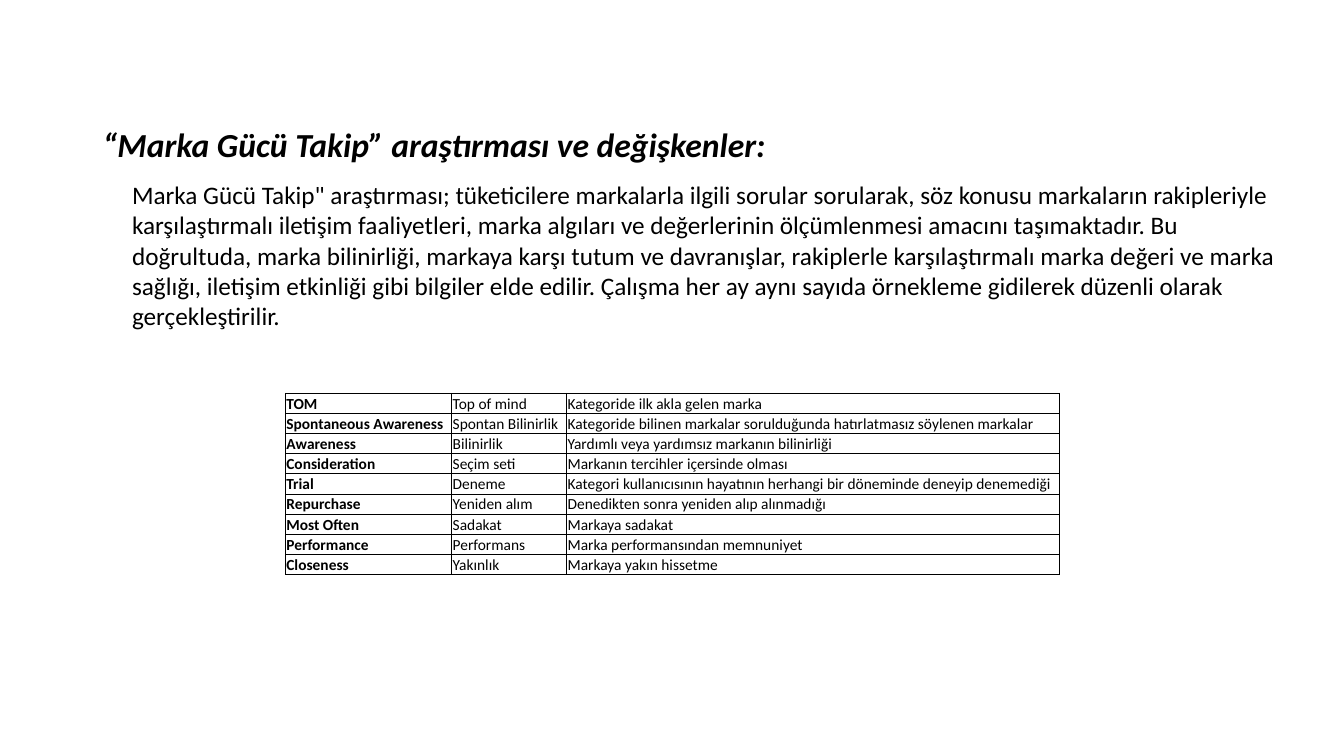
import pptx
import pptx.dml.color
import pptx.enum.text
import pptx.oxml
import pptx.oxml.ns
import pptx.util

BLACK = pptx.dml.color.RGBColor(0x00, 0x00, 0x00)
PX = 9144  # one px is a hundredth of an inch

HEADING = "“Marka Gücü Takip” araştırması ve değişkenler:"
DESCRIPTION = (
    'Marka Gücü Takip" araştırması; tüketicilere markalarla ilgili sorular sorularak, '
    "söz konusu markaların rakipleriyle karşılaştırmalı iletişim faaliyetleri, marka "
    "algıları ve değerlerinin ölçümlenmesi amacını taşımaktadır. Bu doğrultuda, marka "
    "bilinirliği, markaya karşı tutum ve davranışlar, rakiplerle karşılaştırmalı marka "
    "değeri ve marka sağlığı, iletişim etkinliği gibi bilgiler elde edilir. Çalışma her "
    "ay aynı sayıda örnekleme gidilerek düzenli olarak gerçekleştirilir."
)
VARIABLES = [
    ("TOM", "Top of mind", "Kategoride ilk akla gelen marka"),
    ("Spontaneous Awareness", "Spontan Bilinirlik",
     "Kategoride bilinen markalar sorulduğunda hatırlatmasız söylenen markalar"),
    ("Awareness", "Bilinirlik", "Yardımlı veya yardımsız markanın bilinirliği"),
    ("Consideration", "Seçim seti", "Markanın tercihler içersinde olması"),
    ("Trial", "Deneme",
     "Kategori kullanıcısının hayatının herhangi bir döneminde deneyip denemediği"),
    ("Repurchase", "Yeniden alım", "Denedikten sonra yeniden alıp alınmadığı"),
    ("Most Often", "Sadakat", "Markaya sadakat"),
    ("Performance", "Performans", "Marka performansından memnuniyet"),
    ("Closeness", "Yakınlık", "Markaya yakın hissetme"),
]


def px(length):
    return pptx.util.Emu(length * PX)


def write_text(frame, text, size, font="Calibri", color=BLACK, bold=False, italic=False):
    para = frame.paragraphs[0]
    para.alignment = pptx.enum.text.PP_ALIGN.LEFT
    para.space_before = pptx.util.Pt(0)
    span = para.add_run()
    span.text = text
    span.font.name = font
    span.font.size = pptx.util.Pt(size)
    span.font.color.rgb = color
    span.font.bold = bold
    span.font.italic = italic
    return para


class PageBuilder:
    def __init__(self, page, line_color=BLACK, line_width=0.5):
        self.page = page
        self.line_color = line_color
        self.line_width = pptx.util.Pt(line_width)

    def placeholder(self, index, left, top, width, height, text, **text_format):
        box = self.page.placeholders[index]
        box.left, box.top, box.width, box.height = map(px, (left, top, width, height))
        frame = box.text_frame
        frame.word_wrap = True
        frame.auto_size = pptx.enum.text.MSO_AUTO_SIZE.NONE
        frame.vertical_anchor = pptx.enum.text.MSO_ANCHOR.TOP
        return write_text(frame, text, **text_format)

    def title(self, *place, **text_format):
        self.placeholder(0, *place, **text_format)

    def body(self, *place, **text_format):
        para = self.placeholder(1, *place, **text_format)
        # Plain paragraph: no bullet, no hanging indent
        properties = para._p.get_or_add_pPr()
        properties.set("marL", "0")
        properties.set("indent", "0")
        properties.append(pptx.oxml.parse_xml(
            f"<a:buNone {pptx.oxml.ns.nsdecls('a')}/>"))

    def border(self, cell):
        properties = cell._tc.get_or_add_tcPr()
        for side in "LRTB":
            properties.append(pptx.oxml.parse_xml(
                f'<a:ln{side} {pptx.oxml.ns.nsdecls("a")} w="{self.line_width}">'
                f'<a:solidFill><a:srgbClr val="{self.line_color}"/></a:solidFill>'
                f"</a:ln{side}>"))

    def table(self, left, top, widths, row_height, rows, size):
        grid = self.page.shapes.add_table(
            len(rows), len(widths), px(left), px(top),
            px(sum(widths)), px(row_height * len(rows))).table
        grid.first_row = grid.horz_banding = False
        for column, width in zip(grid.columns, widths):
            column.width = px(width)
        for row, texts in zip(grid.rows, rows):
            row.height = px(row_height)
            for number, (cell, text) in enumerate(zip(row.cells, texts)):
                self.border(cell)
                cell.fill.background()
                cell.margin_left = cell.margin_right = cell.margin_top = px(1)
                cell.margin_bottom = 0
                cell.vertical_anchor = pptx.enum.text.MSO_ANCHOR.BOTTOM
                write_text(cell.text_frame, text, size, bold=number == 0)


def main():
    deck = pptx.Presentation()
    deck.slide_width, deck.slide_height = px(1333), px(750)
    page = deck.slides.add_slide(deck.slide_layouts[1])
    builder = PageBuilder(page)

    # Heading and description
    builder.title(92, 118, 1167, 111, HEADING, size=24, bold=True, italic=True)
    builder.body(121, 173, 1178, 162, DESCRIPTION, size=18)

    # Research variables
    builder.table(283, 390, (165, 114, 489), 20, VARIABLES, size=11)

    deck.save("out.pptx")


if __name__ == "__main__":
    main()
